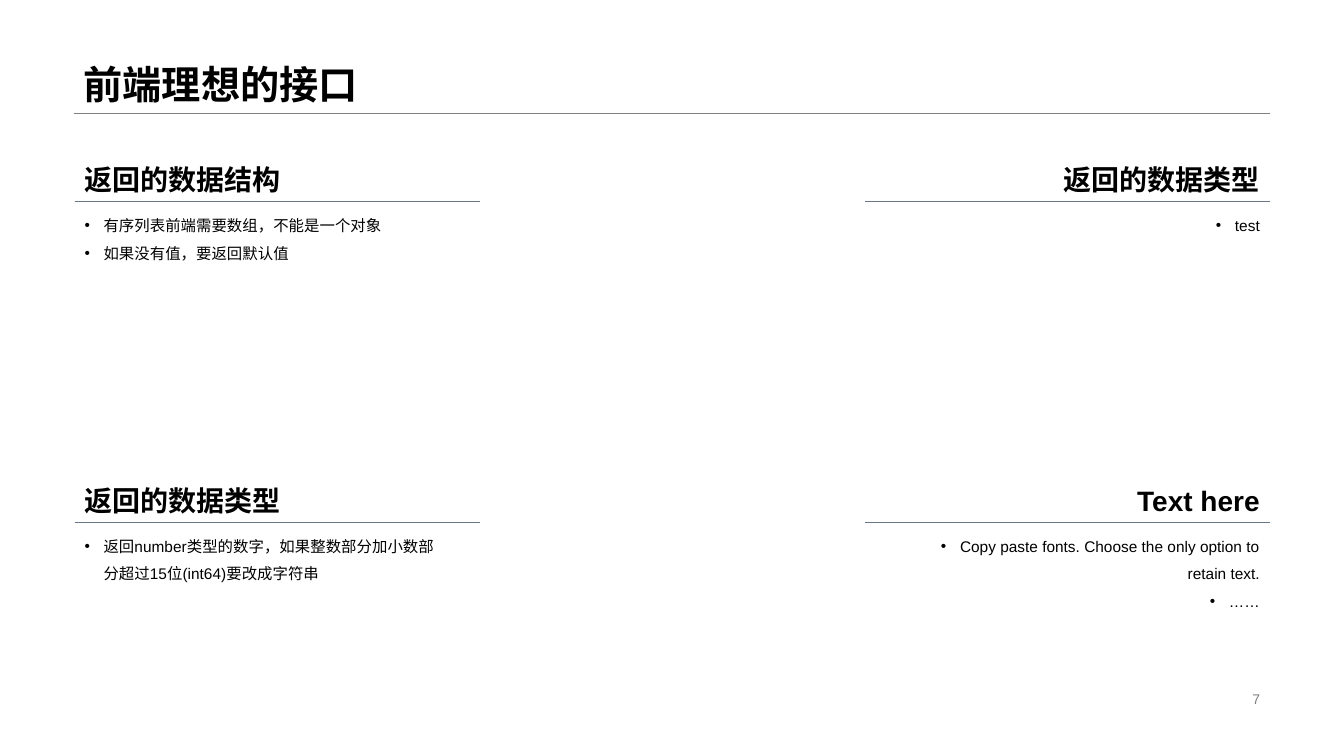
import pptx
import pptx.util
import pptx.dml.color
import pptx.enum.shapes
import pptx.enum.text
import pptx.oxml.ns
import lxml.etree

Cm = pptx.util.Cm
Pt = pptx.util.Pt
ALIGN = pptx.enum.text.PP_ALIGN
ANCHOR = pptx.enum.text.MSO_ANCHOR

BLACK = "000000"
GREY = "808080"
SLATE = "6A7788"
MARGIN = 1.86
CONTENT_WIDTH = 30.15
BLOCK_WIDTH = 9.5
RULE_WIDTH = 10.21
HEADING_HEIGHT = 1.22
LIST_HEIGHT = 2.41
INDENT = 0.48


def color(value):
    return pptx.dml.color.RGBColor.from_string(value)


def place(shape, left, top, width, height):
    shape.left, shape.top = Cm(left), Cm(top)
    shape.width, shape.height = Cm(width), Cm(height)


def write(shape, text, size, fill, bold=False, align=ALIGN.LEFT, anchor=ANCHOR.TOP, spacing=1.0):
    frame = shape.text_frame
    frame.text = text
    frame.word_wrap = True
    frame.auto_size = pptx.enum.text.MSO_AUTO_SIZE.NONE
    frame.vertical_anchor = anchor
    frame.margin_left = frame.margin_right = Cm(0.25)
    frame.margin_top = frame.margin_bottom = Cm(0.13)
    for para in frame.paragraphs:
        para.alignment = align
        para.line_spacing = spacing
        para.space_before = para.space_after = Pt(0)
        for span in para.runs:
            span.font.name = "Arial"
            span.font.size = Pt(size)
            span.font.bold = bold
            span.font.color.rgb = color(fill)


def add_bullets(shape):
    for para in shape.text_frame.paragraphs:
        properties = para._p.get_or_add_pPr()
        properties.set("marL", str(Cm(INDENT)))
        properties.set("indent", str(-Cm(INDENT)))
        font = lxml.etree.SubElement(properties, pptx.oxml.ns.qn("a:buFont"))
        font.set("typeface", "Arial")
        bullet = lxml.etree.SubElement(properties, pptx.oxml.ns.qn("a:buChar"))
        bullet.set("char", "•")


def add_rule(page, left, top, width, fill):
    rule = page.shapes.add_connector(
        pptx.enum.shapes.MSO_CONNECTOR.STRAIGHT, Cm(left), Cm(top), Cm(left + width), Cm(top))
    rule.line.color.rgb = color(fill)
    rule.line.width = Pt(0.25)
    lxml.etree.SubElement(rule._element.spPr, pptx.oxml.ns.qn("a:effectLst"))


def add_title(page, text, left, top, width, height):
    title = page.shapes.title
    place(title, left, top, width, height)
    write(title, text, 28, BLACK, bold=True, anchor=ANCHOR.BOTTOM, spacing=0.9)
    add_rule(page, left, top + height, width, GREY)


def add_block(page, body, heading, items, left, top, align):
    box = page.shapes.add_textbox(Cm(left), Cm(top), Cm(BLOCK_WIDTH), Cm(HEADING_HEIGHT))
    write(box, heading, 20, BLACK, bold=True, align=align, anchor=ANCHOR.BOTTOM)
    middle = top + HEADING_HEIGHT
    place(body, left, middle, BLOCK_WIDTH, LIST_HEIGHT)
    write(body, "\n".join(items), 11, BLACK, align=align, spacing=1.5)
    add_bullets(body)
    overhang = RULE_WIDTH - BLOCK_WIDTH if align == ALIGN.RIGHT else 0
    add_rule(page, left - overhang, middle, RULE_WIDTH, SLATE)


def add_page_number(page, number, left, top, width, height):
    box = page.shapes.add_textbox(Cm(left), Cm(top), Cm(width), Cm(height))
    write(box, number, 10, GREY, align=ALIGN.RIGHT, anchor=ANCHOR.MIDDLE)


def add_four_blocks(deck, title, blocks, number):
    page = deck.slides.add_slide(deck.slide_layouts.get_by_name("Comparison"))
    add_title(page, title, MARGIN, 0, CONTENT_WIDTH, 2.85)
    bodies = [box for box in page.placeholders if box.placeholder_format.idx > 0]
    columns = [(1.88, ALIGN.LEFT), (22.5, ALIGN.RIGHT)]
    rows = [3.86, 11.94]
    for index, (heading, items) in enumerate(blocks):
        left, align = columns[index % 2]
        add_block(page, bodies[index], heading, items, left, rows[index // 2], align)
    add_page_number(page, number, 23.93, 17.32, 8.08, 0.58)


deck = pptx.Presentation()
deck.slide_width, deck.slide_height = Cm(33.87), Cm(19.05)
add_four_blocks(deck, "前端理想的接口", [
    ("返回的数据结构", ["有序列表前端需要数组，不能是一个对象", "如果没有值，要返回默认值"]),
    ("返回的数据类型", ["test"]),
    ("返回的数据类型", ["返回number类型的数字，如果整数部分加小数部分超过15位(int64)要改成字符串"]),
    ("Text here", ["Copy paste fonts. Choose the only option to retain text.", "……"]),
], "7")
deck.save("out.pptx")
